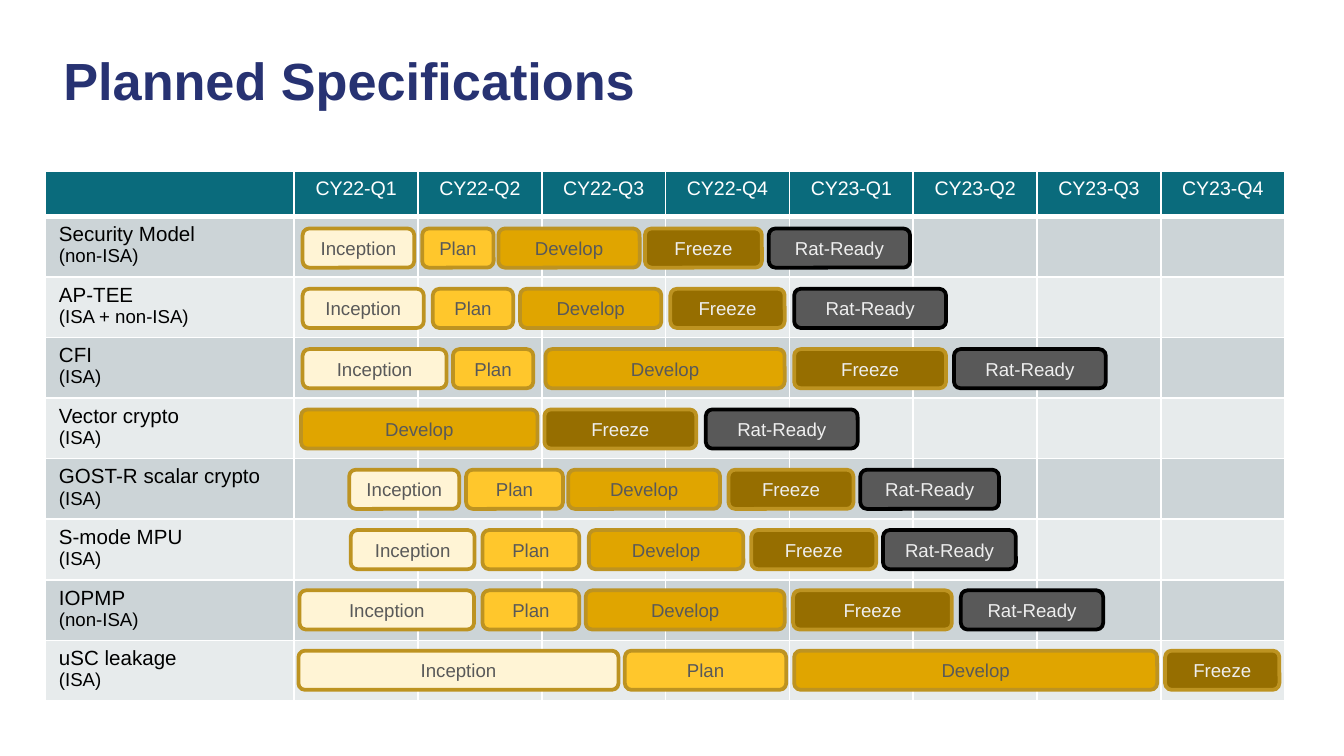
from typing import NamedTuple

from lxml.etree import SubElement
from pptx import Presentation
from pptx.dml.color import RGBColor
from pptx.enum.shapes import MSO_SHAPE
from pptx.enum.text import MSO_ANCHOR, PP_ALIGN
from pptx.oxml.ns import qn
from pptx.util import Cm, Pt

FONT = "Arial"
WHITE, BLACK, GREY, PALE = "FFFFFF", "000000", "595959", "EEEEEE"
NAVY, TEAL, GOLD = "273272", "0A6B7C", "BD9321"
BANDS = ("CCD4D7", "E7EBEC")

TABLE_LEFT, TABLE_TOP = 0.86, 3.23
LABEL_W, QUARTER_W = 4.7, 2.34
HEADER_H, ROW_H = 0.86, 1.12
BAR_TOP, BAR_STEP, BAR_H = 4.32, 1.14, 0.74


class Phase(NamedTuple):
    name: str
    fill: str
    line: str
    text: str


class Bar(NamedTuple):
    phase: Phase
    left: float
    width: float


class Spec(NamedTuple):
    name: str
    kind: str
    bars: tuple[Bar, ...]


INCEPTION = Phase("Inception", "FFF4D5", GOLD, GREY)
PLAN = Phase("Plan", "FFC72C", GOLD, GREY)
DEVELOP = Phase("Develop", "E0A500", GOLD, GREY)
FREEZE = Phase("Freeze", "966E00", GOLD, PALE)
READY = Phase("Rat-Ready", GREY, BLACK, PALE)

QUARTERS = [f"CY{year}-Q{q}" for year in (22, 23) for q in range(1, 5)]
SPECS = [
    Spec("Security Model", "(non-ISA)", (
        Bar(INCEPTION, 5.72, 2.11), Bar(PLAN, 7.98, 1.35), Bar(DEVELOP, 9.42, 2.67),
        Bar(FREEZE, 12.19, 2.21), Bar(READY, 14.53, 2.67))),
    Spec("AP-TEE", "(ISA + non-ISA)", (
        Bar(INCEPTION, 5.72, 2.29), Bar(PLAN, 8.18, 1.52), Bar(DEVELOP, 9.83, 2.67),
        Bar(FREEZE, 12.67, 2.16), Bar(READY, 15.01, 2.87))),
    Spec("CFI", "(ISA)", (
        Bar(INCEPTION, 5.72, 2.72), Bar(PLAN, 8.56, 1.52), Bar(DEVELOP, 10.31, 4.52),
        Bar(FREEZE, 15.01, 2.87), Bar(READY, 18.03, 2.87))),
    Spec("Vector crypto", "(ISA)", (
        Bar(DEVELOP, 5.69, 4.47), Bar(FREEZE, 10.29, 2.87), Bar(READY, 13.34, 2.87))),
    Spec("GOST-R scalar crypto", "(ISA)", (
        Bar(INCEPTION, 6.6, 2.08), Bar(PLAN, 8.81, 1.83), Bar(DEVELOP, 10.74, 2.87),
        Bar(FREEZE, 13.77, 2.36), Bar(READY, 16.26, 2.62))),
    Spec("S-mode MPU", "(ISA)", (
        Bar(INCEPTION, 6.63, 2.34), Bar(PLAN, 9.12, 1.83), Bar(DEVELOP, 11.13, 2.92),
        Bar(FREEZE, 14.2, 2.36), Bar(READY, 16.69, 2.51))),
    Spec("IOPMP", "(non-ISA)", (
        Bar(INCEPTION, 5.66, 3.3), Bar(PLAN, 9.12, 1.83), Bar(DEVELOP, 11.07, 3.76),
        Bar(FREEZE, 14.99, 3), Bar(READY, 18.16, 2.69))),
    Spec("uSC leakage", "(ISA)", (
        Bar(INCEPTION, 5.64, 6.05), Bar(PLAN, 11.81, 3.05), Bar(DEVELOP, 15.01, 6.86),
        Bar(FREEZE, 22.02, 2.16))),
]


def rgb(color: str) -> RGBColor:
    return RGBColor.from_string(color)


def style(p, size: float, color: str, align=PP_ALIGN.LEFT, bold=False) -> None:
    p.alignment = align
    p.font.name, p.font.size, p.font.bold = FONT, Pt(size), bold
    p.font.color.rgb = rgb(color)


def set_borders(cell, top: float, bottom: float) -> None:
    """Draw white cell borders; the sides are 1 pt wide."""
    tc_pr = cell._tc.get_or_add_tcPr()
    widths = {"a:lnL": 1, "a:lnR": 1, "a:lnT": top, "a:lnB": bottom}
    for i, (tag, width) in enumerate(widths.items()):
        ln = SubElement(tc_pr, qn(tag), w=str(Pt(width)))
        fill = SubElement(ln, qn("a:solidFill"))
        SubElement(fill, qn("a:srgbClr"), val=WHITE)
        tc_pr.insert(i, ln)


def add_title(slide, text: str) -> None:
    tf = slide.shapes.add_textbox(Cm(1.02), Cm(0.61), Cm(22.28), Cm(1.9)).text_frame
    tf.word_wrap = True
    tf.vertical_anchor = MSO_ANCHOR.MIDDLE
    tf.margin_left = tf.margin_right = Cm(0.18)
    tf.margin_top = tf.margin_bottom = Cm(0.1)
    tf.text = text
    p = tf.paragraphs[0]
    p.line_spacing = 0.95
    style(p, 28, NAVY, bold=True)


def add_schedule(slide) -> None:
    n_rows, n_cols = len(SPECS) + 1, len(QUARTERS) + 1
    table = slide.shapes.add_table(
        n_rows, n_cols, Cm(TABLE_LEFT), Cm(TABLE_TOP),
        Cm(LABEL_W + QUARTER_W * len(QUARTERS)), Cm(HEADER_H + ROW_H * len(SPECS))).table
    for c, column in enumerate(table.columns):
        column.width = Cm(QUARTER_W if c else LABEL_W)
    for r, row in enumerate(table.rows):
        row.height = Cm(ROW_H if r else HEADER_H)
        for cell in row.cells:
            cell.fill.solid()
            cell.fill.fore_color.rgb = rgb(BANDS[(r - 1) % 2] if r else TEAL)
            set_borders(cell, top=3 if r == 1 else 1, bottom=1 if r else 3)

    corner = table.cell(0, 0)
    corner.margin_top = corner.margin_bottom = 0
    for c, quarter in enumerate(QUARTERS, 1):
        tf = table.cell(0, c).text_frame
        tf.text = quarter
        style(tf.paragraphs[0], 10.5, WHITE, PP_ALIGN.CENTER)
    for r, spec in enumerate(SPECS, 1):
        tf = table.cell(r, 0).text_frame
        tf.text = f"{spec.name}\n{spec.kind}"
        for p, size in zip(tf.paragraphs, (11, 10)):
            style(p, size, BLACK)


def add_bar(slide, bar: Bar, top: float) -> None:
    sp = slide.shapes.add_shape(MSO_SHAPE.ROUNDED_RECTANGLE, Cm(bar.left), Cm(top),
                                Cm(bar.width), Cm(BAR_H))
    sp.shadow.inherit = False
    sp.fill.solid()
    sp.fill.fore_color.rgb = rgb(bar.phase.fill)
    sp.line.color.rgb = rgb(bar.phase.line)
    sp.line.width = Pt(2)
    tf = sp.text_frame
    tf.margin_left = tf.margin_right = tf.margin_top = tf.margin_bottom = 0
    tf.vertical_anchor = MSO_ANCHOR.MIDDLE
    tf.text = bar.phase.name
    style(tf.paragraphs[0], 10, bar.phase.text, PP_ALIGN.CENTER)


def main() -> None:
    prs = Presentation()
    prs.slide_width, prs.slide_height = Cm(25.4), Cm(14.29)
    slide = prs.slides.add_slide(prs.slide_layouts[6])
    add_title(slide, "Planned Specifications")
    add_schedule(slide)
    for i, spec in enumerate(SPECS):
        for bar in spec.bars:
            add_bar(slide, bar, BAR_TOP + i * BAR_STEP)
    prs.save("out.pptx")


if __name__ == "__main__":
    main()
